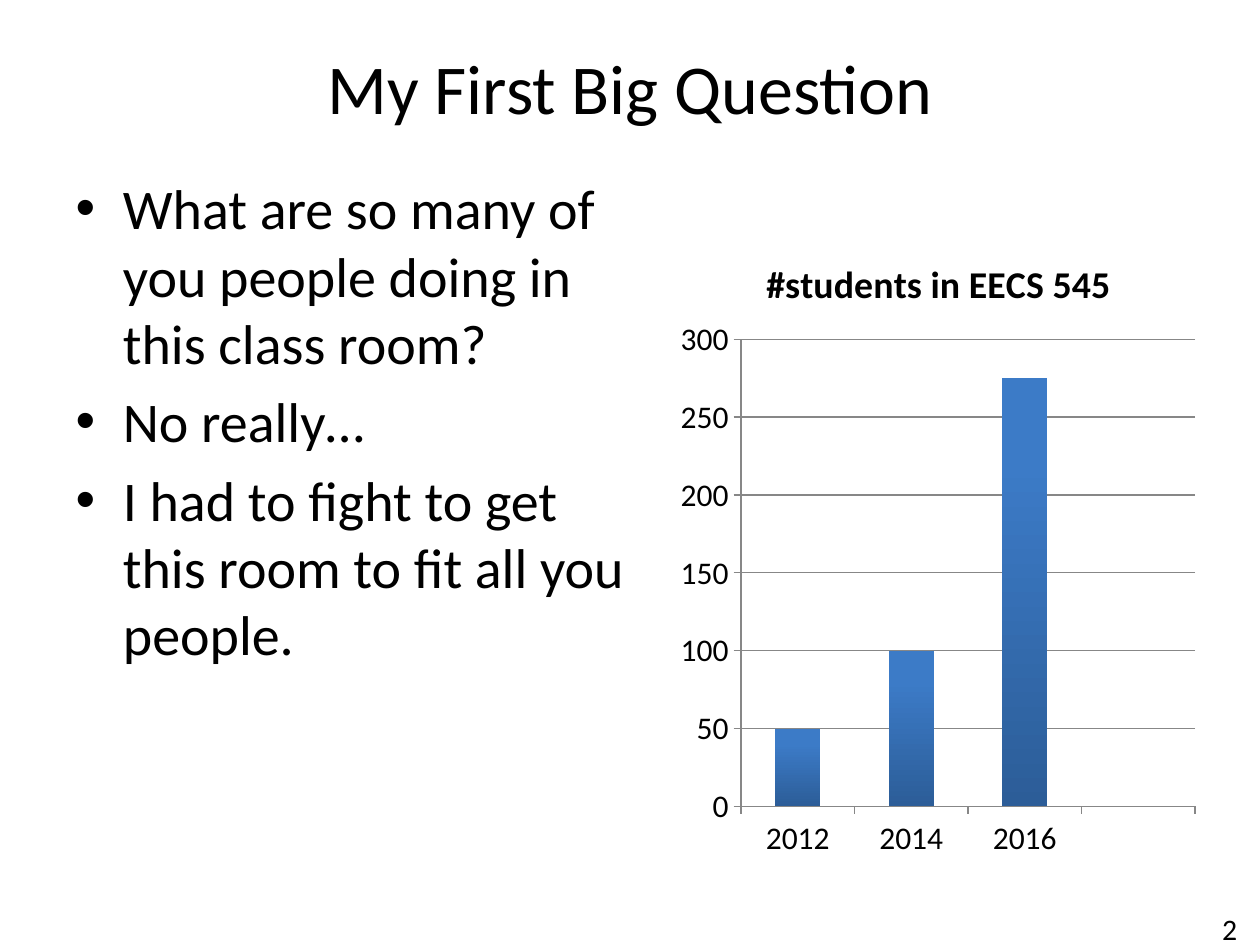
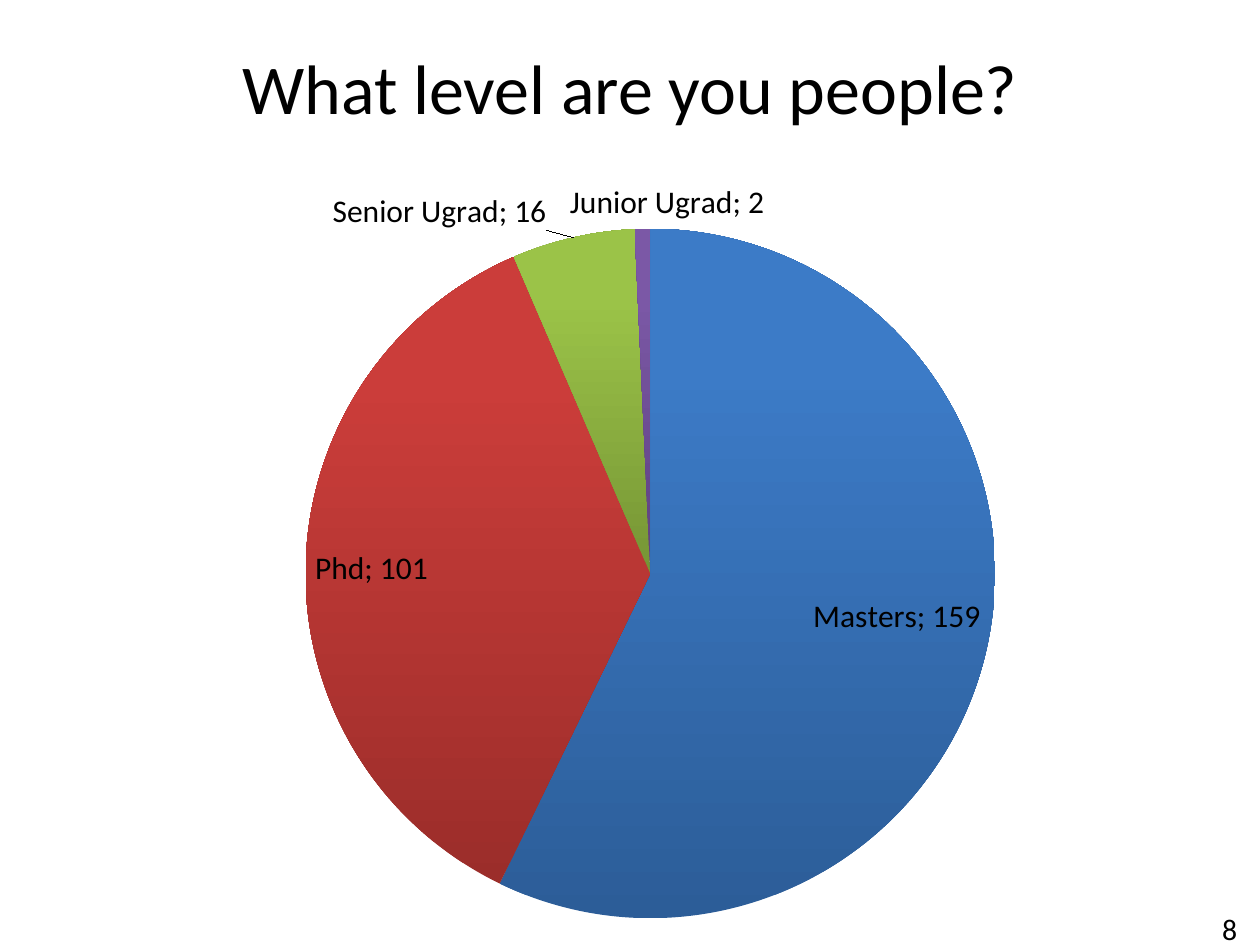
from lxml import etree
from pptx import Presentation
from pptx.chart.data import CategoryChartData
from pptx.dml.color import RGBColor
from pptx.enum.chart import XL_CHART_TYPE, XL_LABEL_POSITION, XL_TICK_MARK
from pptx.enum.text import MSO_ANCHOR, PP_ALIGN
from pptx.oxml.ns import qn
from pptx.util import Inches, Pt

COLUMN = XL_CHART_TYPE.COLUMN_CLUSTERED
PIE = XL_CHART_TYPE.PIE
BEST_FIT = XL_LABEL_POSITION.BEST_FIT
OUTSIDE = XL_TICK_MARK.OUTSIDE
MIDDLE = MSO_ANCHOR.MIDDLE
CENTER = PP_ALIGN.CENTER

FONT = "Calibri"
COLORS = {"text": "000000", "grid": "878787"}
# Each gradient runs from a dark bottom to a light top
GRADIENTS = {
    "blue": ("2C5D98", "3C7BC7"),
    "red": ("9B2D2A", "CB3D3A"),
    "green": ("769535", "9BC348"),
    "purple": ("5D417E", "7B58A6"),
}
WIDTH, HEIGHT = Inches(10), Inches(7.5)
MARGIN = Inches(0.5)
CONTENT_TOP = Inches(1.33)


def style_font(font, size, bold=False):
    font.name = FONT
    font.size = Pt(size)
    font.bold = bold
    font.color.rgb = RGBColor.from_string(COLORS["text"])


def fill_gradient(fill, name):
    fill.gradient()
    fill.gradient_angle = 90
    for stop, color in zip(fill.gradient_stops, GRADIENTS[name]):
        stop.color.rgb = RGBColor.from_string(color)
    fill.gradient_stops[1].position = 0.8


presentation = Presentation()
presentation.slide_width, presentation.slide_height = WIDTH, HEIGHT
text_layout = presentation.slide_layouts[1]
title_layout = presentation.slide_layouts[5]

# Titles and slide numbers
slides = []
for layout, title, number in (
    (text_layout, "My First Big Question", "2"),
    (title_layout, "What level are you people?", "8"),
):
    slide = presentation.slides.add_slide(layout)
    slides.append(slide)
    shape = slide.shapes.title
    shape.left, shape.top = MARGIN, Inches(0.3)
    shape.width, shape.height = WIDTH - 2 * MARGIN, Inches(0.78)
    shape.text_frame.vertical_anchor = MIDDLE
    paragraph = shape.text_frame.paragraphs[0]
    paragraph.alignment = CENTER
    run = paragraph.add_run()
    run.text = title
    style_font(run.font, 40)

    number_box = slide.shapes.add_textbox(
        Inches(9.6), Inches(7.18), Inches(0.48), Inches(0.39))
    number_box.text_frame.word_wrap = False
    run = number_box.text_frame.paragraphs[0].add_run()
    run.text = number
    style_font(run.font, 17)

question_slide, level_slide = slides

# Question list
body = question_slide.placeholders[1]
body.left, body.top = MARGIN, CONTENT_TOP
body.width, body.height = Inches(4.67), Inches(5.37)
questions = (
    "What are so many of you people doing in this class room?",
    "No really…",
    "I had to fight to get this room to fit all you people.",
)
for index, question in enumerate(questions):
    frame = body.text_frame
    paragraph = frame.add_paragraph() if index else frame.paragraphs[0]
    run = paragraph.add_run()
    run.text = question
    style_font(run.font, 32)

# Charts, with the plot area as shares of the chart's size
charts = []
for slide, kind, categories, values, box, plot_area in (
    (question_slide, COLUMN, ("2012", "2014", "2016", ""), (50, 100, 275, None),
     (Inches(5.33), Inches(1.83), Inches(4.24), Inches(5.08)),
     {"x": 0.13, "y": 0.17, "w": 0.85, "h": 0.73}),
    (level_slide, PIE, ("Masters", "Phd", "Senior Ugrad", "Junior Ugrad"),
     (159, 101, 16, 2),
     (Inches(0.17), CONTENT_TOP, Inches(9.33), Inches(6.08)),
     {"x": 0.24, "y": 0.08, "w": 0.59, "h": 0.9}),
):
    data = CategoryChartData()
    data.categories = categories
    data.add_series("Series 1", values)
    chart = slide.shapes.add_chart(kind, *box, data).chart
    charts.append(chart)
    style_font(chart.font, 18)
    chart.has_legend = False
    chart.has_title = False

    plot_element = chart.element.find(".//" + qn("c:plotArea"))
    for old_layout in plot_element.findall(qn("c:layout")):
        plot_element.remove(old_layout)
    layout_element = etree.Element(qn("c:layout"))
    plot_element.insert(0, layout_element)
    manual = etree.SubElement(layout_element, qn("c:manualLayout"))
    settings = [("layoutTarget", "inner"), ("xMode", "edge"), ("yMode", "edge")]
    for tag, value in settings + list(plot_area.items()):
        etree.SubElement(manual, qn("c:" + tag)).set("val", str(value))

student_chart, level_chart = charts

# Student numbers by year
student_chart.has_title = True
run = student_chart.chart_title.text_frame.paragraphs[0].add_run()
run.text = "#students in EECS 545"
style_font(run.font, 21.6, bold=True)
student_plot = student_chart.plots[0]
student_plot.gap_width = 150
student_plot.vary_by_categories = False
fill_gradient(student_plot.series[0].format.fill, "blue")
value_axis = student_chart.value_axis
value_axis.minimum_scale, value_axis.maximum_scale = 0, 300
value_axis.major_unit = 50
value_axis.has_major_gridlines = True
for axis in (value_axis, student_chart.category_axis):
    axis.major_tick_mark = OUTSIDE
    axis.format.line.color.rgb = RGBColor.from_string(COLORS["grid"])
gridline = value_axis.major_gridlines.format.line
gridline.color.rgb = RGBColor.from_string(COLORS["grid"])

# Students by level
level_plot = level_chart.plots[0]
level_plot.vary_by_categories = True
for index, name in enumerate(GRADIENTS):
    fill_gradient(level_plot.series[0].points[index].format.fill, name)
labels = level_plot.series[0].data_labels
style_font(labels.font, 18)
labels.show_category_name = True
labels.show_value = True
labels.show_percentage = False
labels.show_legend_key = False
labels.position = BEST_FIT

presentation.save("out.pptx")
